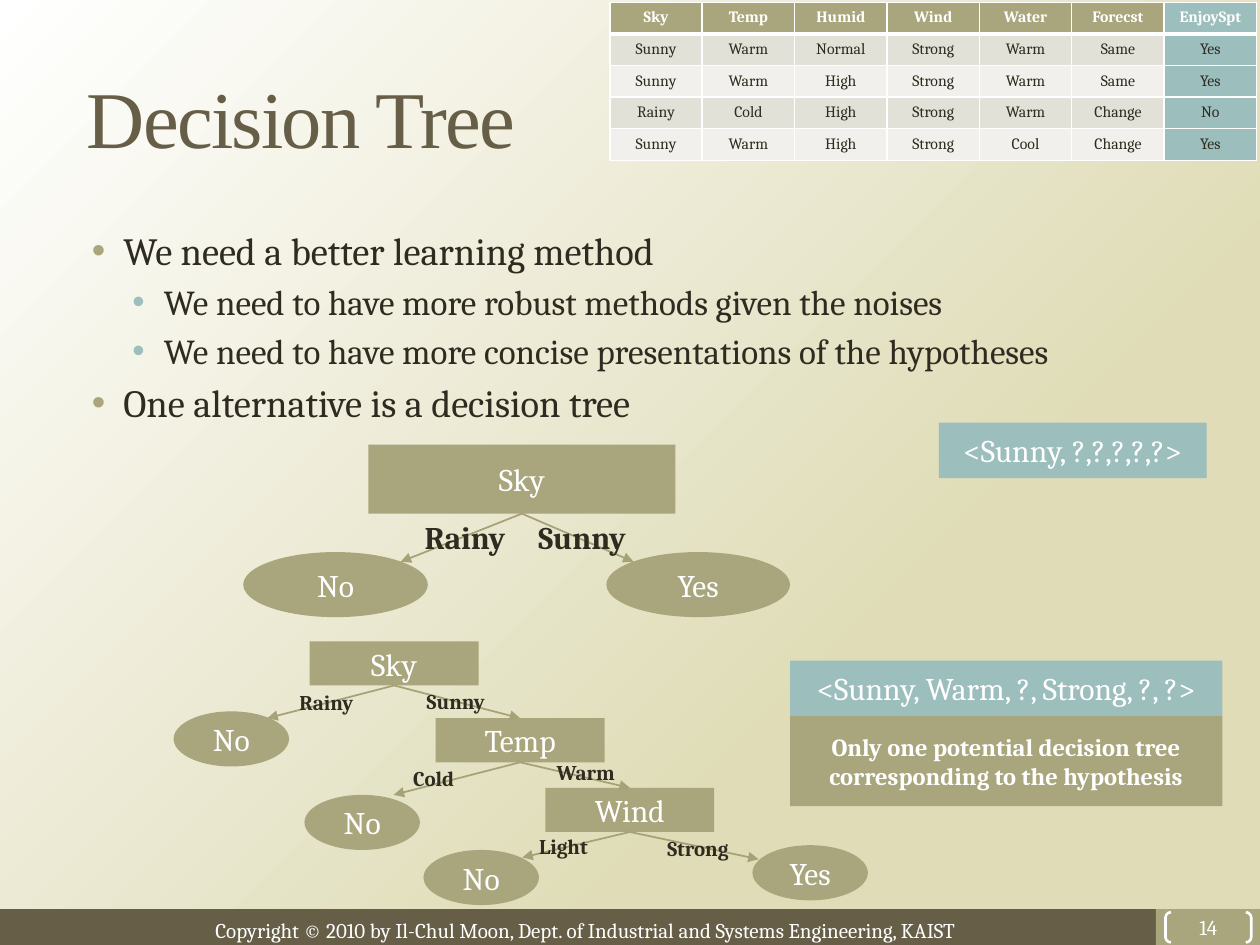
import pptx
import pptx.dml.color
import pptx.enum.dml
import pptx.enum.shapes
import pptx.enum.text
import pptx.oxml.ns
import pptx.util
from lxml import etree

Pt = pptx.util.Pt
SHAPE = pptx.enum.shapes.MSO_SHAPE
ALIGN = pptx.enum.text.PP_ALIGN
ANCHOR = pptx.enum.text.MSO_ANCHOR
RECT, OVAL = SHAPE.RECTANGLE, SHAPE.OVAL

OLIVE, TEAL, BROWN, DARK, WHITE = "A9A57C", "9CBEBD", "675E47", "2F2B20", "FFFFFF"
LINE, SAND, BAND_DARK, BAND_LIGHT = "A6A278", "DFDCB7", "E2E1D7", "F1F0EC"
FONT = "Cambria"

TITLE = "Decision Tree"
BULLETS = [
    (0, "We need a better learning method"),
    (1, "We need to have more robust methods given the noises"),
    (1, "We need to have more concise presentations of the hypotheses"),
    (0, "One alternative is a decision tree"),
]
LEVELS = [
    {"size": 22, "margin": 27.36, "bullet": OLIVE},
    {"size": 20, "margin": 50.4, "bullet": TEAL},
]
FOOTER = "Copyright © 2010 by Il-Chul Moon, Dept. of Industrial and Systems Engineering, KAIST"
PAGE = "14"
EXAMPLES = [
    ["Sky", "Temp", "Humid", "Wind", "Water", "Forecst", "EnjoySpt"],
    ["Sunny", "Warm", "Normal", "Strong", "Warm", "Same", "Yes"],
    ["Sunny", "Warm", "High", "Strong", "Warm", "Same", "Yes"],
    ["Rainy", "Cold", "High", "Strong", "Warm", "Change", "No"],
    ["Sunny", "Warm", "High", "Strong", "Cool", "Change", "Yes"],
]
TESTS = {
    "top": ("Sky", 210.5, 254, 175.5, 39.5),
    "sky": ("Sky", 177, 366.5, 96.5, 25.2),
    "temp": ("Temp", 249, 410.4, 96.5, 25.2),
    "wind": ("Wind", 311.7, 450.2, 96.5, 25.2),
}
LEAVES = [
    ("No", 139, 315.5, 105.5, 37.2),
    ("Yes", 346.5, 315.5, 105, 37.2),
    ("No", 99.2, 406.5, 66, 31.5),
    ("No", 174, 454.2, 66, 31.5),
    ("No", 242, 485.7, 66, 31.5),
    ("Yes", 430, 483, 66, 31.5),
]
LEAF_BRANCHES = [
    ("top", 229, 321),
    ("top", 362, 321),
    ("sky", 152.8, 410.4),
    ("temp", 225, 454.2),
    ("wind", 298.5, 490),
    ("wind", 433.5, 491),
]
TEST_BRANCHES = [("sky", "temp"), ("temp", "wind")]
LABELS = [
    ("Rainy", 18, 235.5, 292.5, 62),
    ("Sunny", 18, 300.5, 292.5, 65.5),
    ("Rainy", 12, 164, 390.5, 46),
    ("Sunny", 12, 236.7, 389.8, 49),
    ("Cold", 12, 229, 433.8, 39.6),
    ("Warm", 12, 311, 430.5, 48.2),
    ("Light", 12, 301, 472.5, 43.2),
    ("Strong", 12, 374.2, 473.7, 51),
]
SHORT_RULE = "<Sunny, ?,?,?,?,?>"
LONG_RULE = "<Sunny, Warm, ?, Strong, ?, ?>"
REMARK = "Only one potential decision tree\ncorresponding to the hypothesis"


def rgb(color):
    return pptx.dml.color.RGBColor.from_string(color)


def child(parent, tag, **attrs):
    return etree.SubElement(parent, pptx.oxml.ns.qn(tag), attrs)


def write(p, text, size, color, bold=False, font=FONT):
    for i, part in enumerate(text.split("\n")):
        if i:
            p.add_line_break()
        r = p.add_run()
        r.text = part
        r.font.size, r.font.bold, r.font.name = Pt(size), bold, font
        r.font.color.rgb = rgb(color)
    return r


def add_box(shapes, kind, x, y, w, h, fill=None, text="", size=18, bold=False):
    sp = shapes.add_shape(kind, Pt(x), Pt(y), Pt(w), Pt(h))
    sp.shadow.inherit = False
    sp.line.fill.background()
    if fill:
        sp.fill.solid()
        sp.fill.fore_color.rgb = rgb(fill)
    else:
        sp.fill.background()
    tf = sp.text_frame
    tf.vertical_anchor = ANCHOR.MIDDLE
    if text:
        p = tf.paragraphs[0]
        p.alignment = ALIGN.CENTER
        write(p, text, size, WHITE, bold)
    return sp


def add_label(shapes, text, size, x, y, w, h, color=DARK, bold=True):
    tf = shapes.add_textbox(Pt(x), Pt(y), Pt(w), Pt(h)).text_frame
    tf.word_wrap = False
    tf.auto_size = pptx.enum.text.MSO_AUTO_SIZE.SHAPE_TO_FIT_TEXT
    write(tf.paragraphs[0], text, size, color, bold)


def add_branch(shapes, test, x, y):
    c = shapes.add_connector(pptx.enum.shapes.MSO_CONNECTOR.STRAIGHT, 0, 0, Pt(x), Pt(y))
    c.begin_connect(test, 2)
    c.line.color.rgb = rgb(LINE)
    c.line.width = Pt(1)
    child(c.line._get_or_add_ln(), "a:tailEnd", type="triangle")
    child(c._element.spPr, "a:effectLst")
    return c


def place(sp, x, y, w, h):
    sp.left, sp.top, sp.width, sp.height = Pt(x), Pt(y), Pt(w), Pt(h)


def add_background(s):
    fill = s.background.fill
    fill.gradient()
    fill.gradient_angle = 135
    for stop, (pos, color) in zip(fill.gradient_stops, [(0.31, SAND), (1, WHITE)]):
        stop.position = pos
        stop.color.rgb = rgb(color)


def add_texts(s):
    sp = s.shapes.title
    place(sp, 42.5, 21.6, 300, 89.3)
    sp.text_frame.vertical_anchor = ANCHOR.MIDDLE
    p = sp.text_frame.paragraphs[0]
    p.alignment = ALIGN.LEFT
    r = write(p, TITLE, 46, BROWN, font="Times New Roman")
    r.font._element.set("spc", "-100")

    body = s.placeholders[1]
    place(body, 36, 126, 664, 388)
    tf = body.text_frame
    for i, (level, text) in enumerate(BULLETS):
        p = tf.add_paragraph() if i else tf.paragraphs[0]
        style = LEVELS[level]
        p.level = level
        pPr = p._p.get_or_add_pPr()
        pPr.set("marL", str(Pt(style["margin"])))
        pPr.set("indent", str(Pt(-18)))
        child(child(pPr, "a:buClr"), "a:srgbClr", val=style["bullet"])
        child(pPr, "a:buFont", typeface="Arial")
        child(pPr, "a:buChar", char="•")
        write(p, text, style["size"], DARK)


def add_footer(shapes):
    add_box(shapes, RECT, 0, 519.5, 720, 20.5, BROWN)
    add_box(shapes, RECT, 660.5, 519.5, 59.5, 20.5, OLIVE)
    add_label(shapes, FOOTER, 12, 116, 520.5, 461.5, 21.6, WHITE, False)
    sp = add_box(shapes, SHAPE.DOUBLE_BRACKET, 666, 521.3, 49, 17.3, None, PAGE, 12)
    sp.adjustments[0] = 0.18
    sp.line.color.rgb = rgb(WHITE)
    sp.line.width = Pt(1.5)
    tf = sp.text_frame
    tf.margin_left = tf.margin_right = tf.margin_top = tf.margin_bottom = 0


def add_examples(shapes):
    rows, cols = len(EXAMPLES), len(EXAMPLES[0])
    tbl = shapes.add_table(rows, cols, Pt(348.5), Pt(1.3), Pt(369.6), Pt(88.5)).table
    for col in tbl.columns:
        col.width = Pt(52.8)
    for i, values in enumerate(EXAMPLES):
        tbl.rows[i].height = Pt(17.7)
        band = OLIVE if i == 0 else BAND_DARK if i % 2 else BAND_LIGHT
        for j, value in enumerate(values):
            cell = tbl.cell(i, j)
            thick = {0: "a:lnB", 1: "a:lnT"}.get(i)
            for tag in ("a:lnL", "a:lnR", "a:lnT", "a:lnB"):
                ln = child(cell._tc.get_or_add_tcPr(), tag, w=str(Pt(3 if tag == thick else 1)))
                child(child(ln, "a:solidFill"), "a:srgbClr", val=WHITE)
            cell.fill.solid()
            cell.fill.fore_color.rgb = rgb(TEAL if j == cols - 1 else band)
            p = cell.text_frame.paragraphs[0]
            p.alignment = ALIGN.CENTER
            write(p, value, 9, DARK if i else WHITE, i == 0)


def add_trees(shapes):
    tests = {k: add_box(shapes, RECT, *at, OLIVE, text) for k, (text, *at) in TESTS.items()}
    for text, *at in LEAVES:
        add_box(shapes, OVAL, *at, OLIVE, text)
    for test, x, y in LEAF_BRANCHES:
        add_branch(shapes, tests[test], x, y)
    for test, below in TEST_BRANCHES:
        add_branch(shapes, tests[test], 0, 0).end_connect(tests[below], 0)
    for text, size, x, y, w in LABELS:
        add_label(shapes, text, size, x, y, w, 29 if size == 18 else 21.6)


def add_rules(shapes):
    add_box(shapes, RECT, 536.5, 241.5, 153, 31.7, TEAL, SHORT_RULE)
    group = shapes.add_group_shape().shapes
    add_box(group, RECT, 451.5, 377.5, 247, 31.7, TEAL, LONG_RULE)
    add_box(group, RECT, 451.5, 409.2, 247, 51.5, OLIVE, REMARK, 14, True)


def main():
    prs = pptx.Presentation()
    prs.slide_width, prs.slide_height = Pt(720), Pt(540)
    s = prs.slides.add_slide(prs.slide_layouts[1])
    add_background(s)
    add_texts(s)
    for add in (add_footer, add_examples, add_trees, add_rules):
        add(s.shapes)
    prs.save("out.pptx")


if __name__ == "__main__":
    main()
